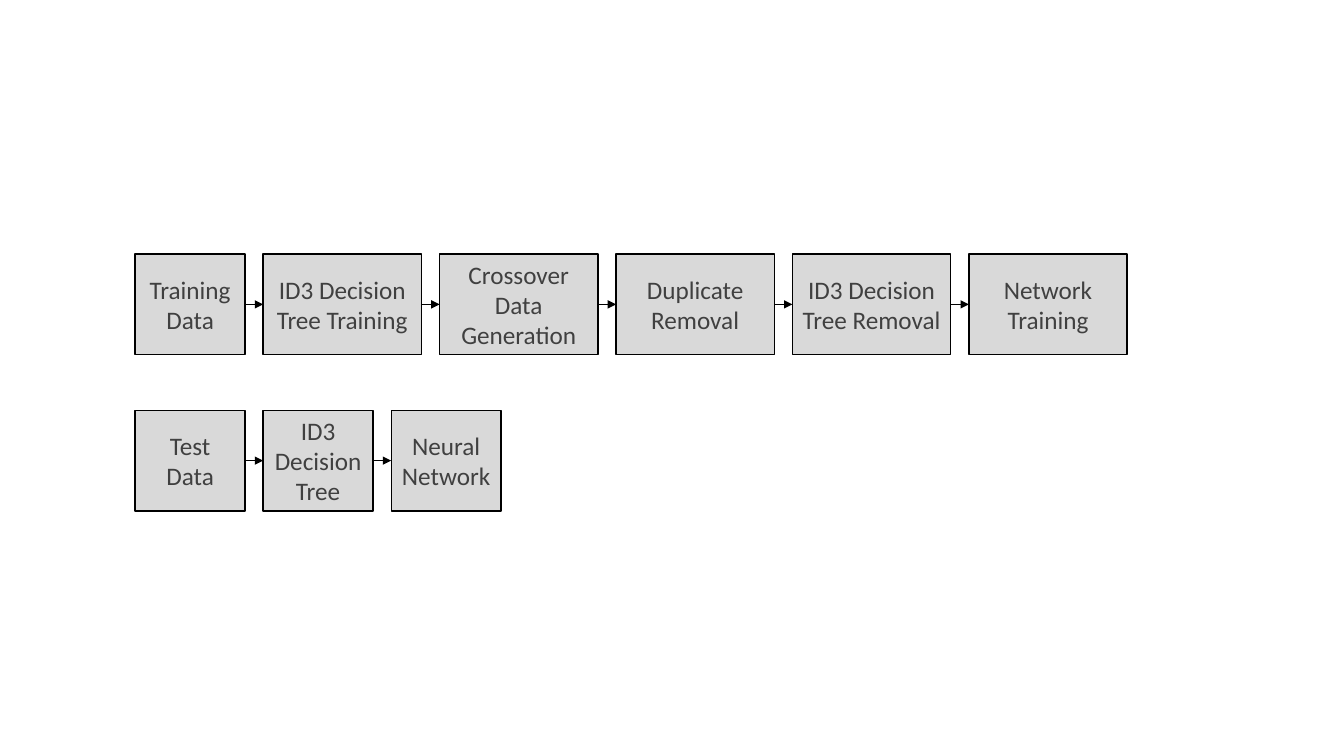
from itertools import pairwise

from lxml.etree import SubElement
from pptx import Presentation
from pptx.dml.color import RGBColor
from pptx.enum.shapes import MSO_CONNECTOR, MSO_SHAPE
from pptx.enum.text import MSO_ANCHOR, PP_ALIGN
from pptx.oxml.ns import qn
from pptx.util import Inches, Pt

BOX_FILL = RGBColor(0xD9, 0xD9, 0xD9)
TEXT_COLOR = RGBColor(0x40, 0x40, 0x40)
BLACK = RGBColor(0, 0, 0)

LEFT, TOP = 1.34, 2.52
NARROW, WIDE, BOX_HEIGHT = 1.09, 1.57, 1
COLUMN_GAP, ROW_PITCH = 0.18, 1.55

TRAINING_STEPS = [
    ("Training Data", NARROW),
    ("ID3 Decision Tree Training", WIDE),
    ("Crossover Data Generation", WIDE),
    ("Duplicate Removal", WIDE),
    ("ID3 Decision Tree Removal", WIDE),
    ("Network Training", WIDE),
]
TEST_STEPS = [
    ("Test Data", NARROW),
    ("ID3 Decision Tree", NARROW),
    ("Neural Network", NARROW),
]


def add_step(slide, label, left, top, width):
    """Add one labelled process box and return it."""
    box = slide.shapes.add_shape(
        MSO_SHAPE.RECTANGLE,
        Inches(left), Inches(top), Inches(width), Inches(BOX_HEIGHT))
    box.shadow.inherit = False
    box.fill.solid()
    box.fill.fore_color.rgb = BOX_FILL
    box.line.color.rgb = BLACK
    box.line.width = Pt(1)

    text_frame = box.text_frame
    text_frame.text = label
    text_frame.word_wrap = True
    text_frame.vertical_anchor = MSO_ANCHOR.MIDDLE
    text_frame.margin_left = text_frame.margin_right = Inches(0.08)
    paragraph = text_frame.paragraphs[0]
    paragraph.alignment = PP_ALIGN.CENTER
    font = paragraph.runs[0].font
    font.name = "Calibri"
    font.size = Pt(18)
    font.color.rgb = TEXT_COLOR
    return box


def add_arrow(slide, source, target):
    """Join the right side of source to the left side of target."""
    arrow = slide.shapes.add_connector(MSO_CONNECTOR.STRAIGHT, 0, 0, 0, 0)
    arrow.begin_connect(source, 3)
    arrow.end_connect(target, 1)
    arrow.line.color.rgb = BLACK
    arrow.line.width = Pt(0.5)
    SubElement(arrow.line._get_or_add_ln(), qn("a:tailEnd"), type="triangle")
    SubElement(arrow._element.spPr, qn("a:effectLst"))


def add_flow(slide, steps, row):
    """Lay out one row of steps from left to right, joined by arrows."""
    left, boxes = LEFT, []
    for label, width in steps:
        boxes.append(add_step(slide, label, left, TOP + row * ROW_PITCH, width))
        left += width + COLUMN_GAP
    for source, target in pairwise(boxes):
        add_arrow(slide, source, target)


def main():
    """Build the slide with the training and test flows."""
    presentation = Presentation()
    presentation.slide_width = Inches(13.33)
    presentation.slide_height = Inches(7.5)
    slide = presentation.slides.add_slide(presentation.slide_layouts[6])
    for row, steps in enumerate([TRAINING_STEPS, TEST_STEPS]):
        add_flow(slide, steps, row)
    presentation.save("out.pptx")


main()
